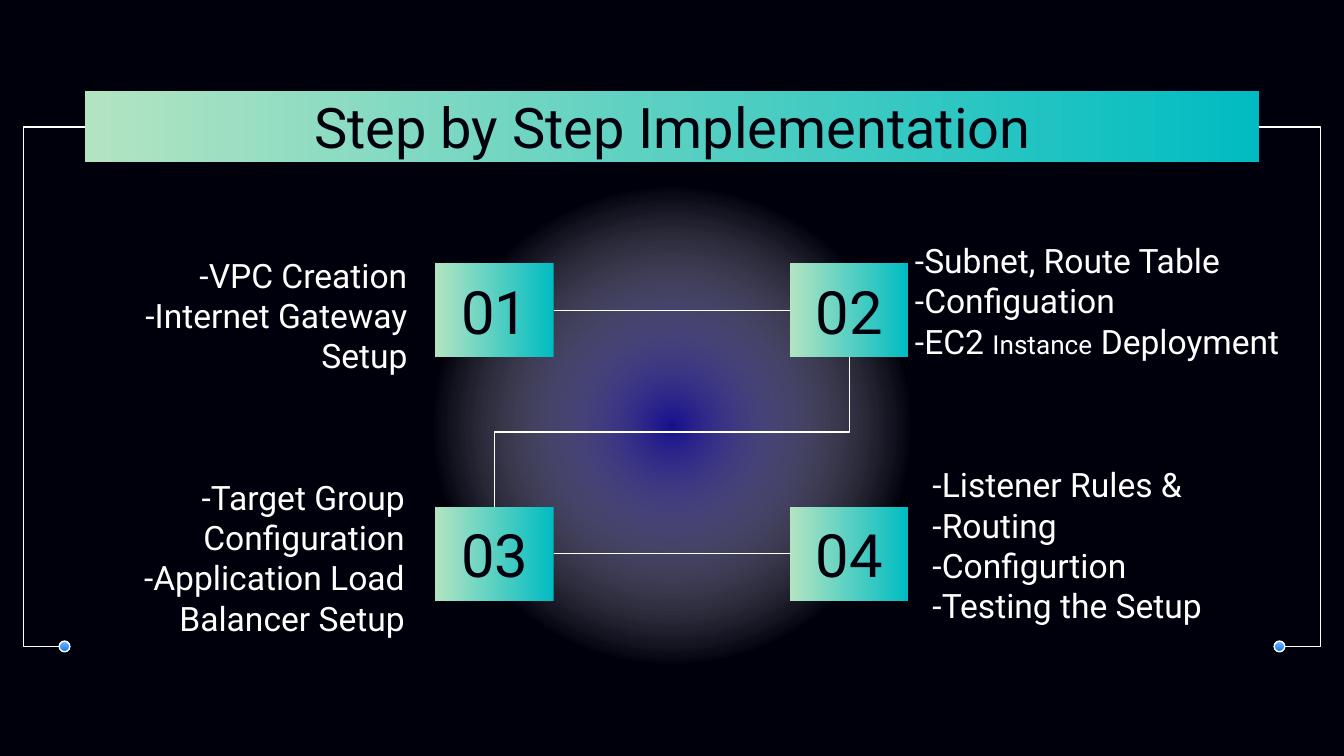
from dataclasses import dataclass

from lxml.etree import SubElement
from pptx import Presentation
from pptx.dml.color import RGBColor
from pptx.enum.shapes import MSO_CONNECTOR, MSO_SHAPE
from pptx.enum.text import MSO_ANCHOR, PP_ALIGN
from pptx.oxml import parse_xml
from pptx.oxml.ns import nsdecls, qn
from pptx.util import Inches, Pt

COLUMNS, ROWS = 100, 56.25


@dataclass(frozen=True)
class Theme:
    font: str = "Roboto"
    ink: str = "00000D"
    light: str = "FFFFFF"
    glow: str = "170F8D"
    panel: tuple = ("00BCC2", "B2E4C2")
    dot: tuple = ("82BCFE", "0C77F1")
    title_size: float = 30
    number_size: float = 32
    body_size: float = 18
    small_size: float = 14
    line_width: float = 0.75


class SlideBuilder:
    def __init__(self, theme):
        self.theme = theme
        self.deck = Presentation()
        self.deck.slide_width, self.deck.slide_height = Inches(10), Inches(5.625)
        self.slide = self.deck.slides.add_slide(self.deck.slide_layouts[5])
        self.slide.background.fill.solid()
        self.slide.background.fill.fore_color.rgb = RGBColor.from_string(theme.ink)

    def x(self, columns):
        return round(self.deck.slide_width * columns / COLUMNS)

    def y(self, rows):
        return round(self.deck.slide_height * rows / ROWS)

    def box(self, left, top, width, height):
        return self.x(left), self.y(top), self.x(width), self.y(height)

    def shape(self, kind, area, group=None):
        shapes = (group or self.slide).shapes
        shape = shapes.add_shape(kind, *self.box(*area))
        shape.shadow.inherit = False
        shape.line.fill.background()
        return shape

    def blend(self, shape, colours, angle):
        shape.fill.gradient()
        shape.fill.gradient_angle = angle
        for stop, colour in zip(shape.fill.gradient_stops, colours):
            stop.color.rgb = RGBColor.from_string(colour)
        return shape

    def panel(self, *area):
        return self.blend(self.shape(MSO_SHAPE.RECTANGLE, area), self.theme.panel, 180)

    def dot(self, area, group):
        dot = self.blend(self.shape(MSO_SHAPE.OVAL, area, group), self.theme.dot, 270)
        self.outline(dot)

    def halo(self, *area):
        halo = self.shape(MSO_SHAPE.OVAL, area)
        halo.fill.background()
        clear = f'<a:srgbClr val="{self.theme.light}"><a:alpha val="0"/></a:srgbClr>'
        radial = parse_xml(
            f'<a:gradFill {nsdecls("a")} rotWithShape="1"><a:gsLst>'
            f'<a:gs pos="0"><a:srgbClr val="{self.theme.glow}"/></a:gs>'
            f'<a:gs pos="61000">{clear}</a:gs><a:gs pos="100000">{clear}</a:gs>'
            '</a:gsLst><a:path path="circle"><a:fillToRect l="50000" t="50000" '
            'r="50000" b="50000"/></a:path></a:gradFill>')
        properties = halo._element.spPr
        properties.replace(properties.find(qn("a:noFill")), radial)

    def outline(self, item):
        item.line.color.rgb = RGBColor.from_string(self.theme.light)
        item.line.width = Pt(self.theme.line_width)

    def connector(self, kind, start, end, group=None):
        shapes = (group or self.slide).shapes
        link = shapes.add_connector(kind, self.x(start[0]), self.y(start[1]),
                                    self.x(end[0]), self.y(end[1]))
        SubElement(link._element.spPr, qn("a:effectLst"))
        self.outline(link)
        return link

    def join(self, first, second):
        link = self.connector(MSO_CONNECTOR.STRAIGHT, (0, 0), (1, 1))
        link.begin_connect(first, 3)
        link.end_connect(second, 1)

    def step_down(self, upper, lower):
        link = self.connector(MSO_CONNECTOR.ELBOW, (0, 0), (1, 1))
        link.begin_connect(upper, 2)
        link.end_connect(lower, 0)
        left, top, across, down = link.left, link.top, link.width, link.height
        link.left, link.top = left + (across - down) // 2, top + (down - across) // 2
        link.width, link.height = down, across
        frame = link._element.spPr.find(qn("a:xfrm"))
        frame.set("rot", "5400000")
        frame.set("flipH", "0")

    def bracket(self, dot_left, start, banner, side, end):
        group = self.slide.shapes.add_group_shape()
        self.dot((dot_left, 47.7, 0.8, 0.8), group)
        link = self.connector(MSO_CONNECTOR.ELBOW, start, end, group)
        link.end_connect(banner, side)
        geometry = link._element.spPr.find(qn("a:prstGeom"))
        guides = geometry.find(qn("a:avLst"))
        if guides is None:
            guides = SubElement(geometry, qn("a:avLst"))
        SubElement(guides, qn("a:gd"), name="adj1", fmla="val -139300")

    def fill_text(self, frame, lines, size, colour, align, anchor):
        frame.word_wrap = True
        frame.vertical_anchor = anchor
        frame.margin_left = frame.margin_right = self.x(1)
        frame.margin_top = frame.margin_bottom = self.y(1)
        for index, line in enumerate(lines):
            paragraph = frame.add_paragraph() if index else frame.paragraphs[0]
            paragraph.alignment = align
            paragraph.font.name = self.theme.font
            paragraph.font.size = Pt(size)
            paragraph.font.color.rgb = RGBColor.from_string(colour)
            for position, words in enumerate([line] if isinstance(line, str) else line):
                run = paragraph.add_run()
                run.text = words
                if position == 1:
                    run.font.size = Pt(self.theme.small_size)

    def title(self, words, *area):
        title = self.slide.shapes.title
        title.left, title.top, title.width, title.height = self.box(*area)
        self.slide.shapes._spTree.append(title._element)
        self.fill_text(title.text_frame, [words], self.theme.title_size,
                       self.theme.ink, PP_ALIGN.CENTER, MSO_ANCHOR.TOP)

    def text(self, lines, area, size, colour, align):
        label = self.slide.shapes.add_textbox(*self.box(*area))
        self.fill_text(label.text_frame, lines, size, colour, align, MSO_ANCHOR.MIDDLE)


def main():
    theme = Theme()
    page = SlideBuilder(theme)
    page.halo(28.3, 12.2, 43.3, 38.9)
    banner = page.panel(6.3, 6.8, 87.4, 5.3)

    corners = [(left, top) for top in (19.6, 37.7) for left in (32.4, 58.8)]
    tiles = [page.panel(left, top, 8.8, 7) for left, top in corners]
    for number, (left, top) in enumerate(corners, 1):
        page.text([f"{number:02}"], (left + 0.5, top + 1.15, 7.8, 4.7),
                  theme.number_size, theme.ink, PP_ALIGN.CENTER)

    first, second, third, fourth = tiles
    page.join(first, second)
    page.join(third, fourth)
    page.step_down(second, third)

    page.bracket(4.4, (4.4, 48.1), banner, 1, (6.3, 9.4))
    page.bracket(94.8, (95.6, 48.1), banner, 3, (93.7, 9.4))
    page.title("Step by Step Implementation", 7.9, 5.9, 84.3, 6.3)

    steps = [
        (["-Subnet, Route Table", "-Configuation", ("-EC2 ", "Instance", " Deployment")],
         (67.1, 19.8, 34, 5.1), PP_ALIGN.LEFT),
        (["-VPC Creation", "-Internet Gateway", "Setup"],
         (-1.2, 20.9, 32.5, 5.1), PP_ALIGN.RIGHT),
        (["-Listener Rules &", "-Routing", "-Configurtion", "-Testing the Setup"],
         (68.4, 38, 30.7, 5.1), PP_ALIGN.LEFT),
        (["-Target Group Configuration", "-Application Load Balancer Setup"],
         (7.2, 38.9, 23.9, 5.1), PP_ALIGN.RIGHT),
    ]
    for lines, area, align in steps:
        page.text(lines, area, theme.body_size, theme.light, align)
    page.deck.save("out.pptx")


if __name__ == "__main__":
    main()
